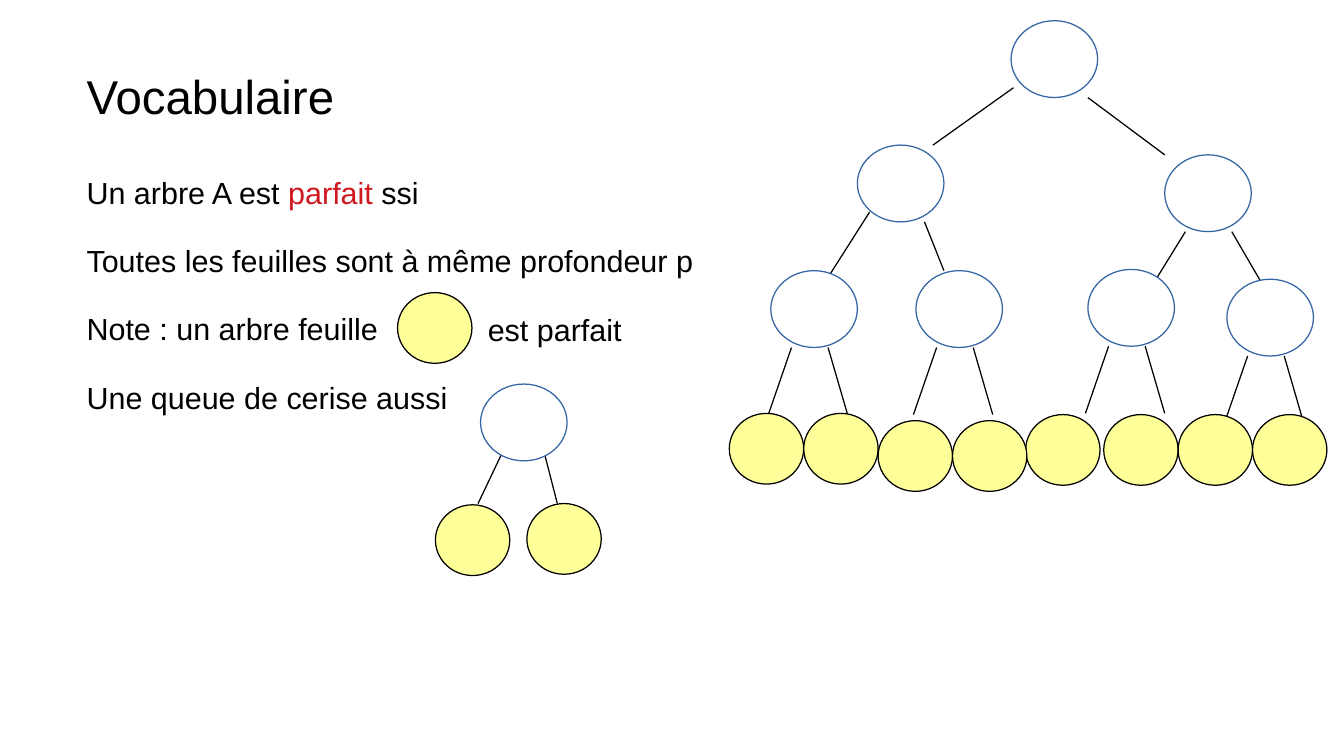
from dataclasses import dataclass

from lxml import etree
from pptx import Presentation
from pptx import util as u
from pptx.dml.color import RGBColor
from pptx.enum import shapes, text
from pptx.oxml import ns


@dataclass(frozen=True)
class Theme:
    font: str = "Arial"
    title_size: int = 28
    body_size: int = 18
    paragraph_gap: float = 18.6
    line_width: float = 0.75
    ink: str = "000000"
    accent: str = "CE181E"
    node_fill: str = "FFFFFF"
    node_line: str = "3465A4"
    leaf_fill: str = "FFFF99"


class TreePage:
    """Holds the theme and the current slide."""

    def __init__(self, deck, theme):
        self.theme = theme
        self.page = deck.slides.add_slide(deck.slide_layouts[1])

    def place(self, box, left, top, width, height):
        box.left, box.top = u.Inches(left), u.Inches(top)
        box.width, box.height = u.Inches(width), u.Inches(height)
        frame = box.text_frame
        frame.margin_left = frame.margin_right = 0
        frame.margin_top = frame.margin_bottom = 0
        frame.word_wrap = True
        frame.auto_size = text.MSO_AUTO_SIZE.NONE
        frame.vertical_anchor = text.MSO_ANCHOR.TOP
        return frame

    def style(self, span, size, color):
        span.font.name = self.theme.font
        span.font.size = u.Pt(size)
        span.font.color.rgb = RGBColor.from_string(color)

    def line(self, box, words, size, *area):
        """One line of text in a box of its own."""
        frame = self.place(box, *area)
        frame.text = words
        para = frame.paragraphs[0]
        para.alignment = text.PP_ALIGN.LEFT
        para.line_spacing = 1.0
        self.style(para.runs[0], size, self.theme.ink)

    def title(self, words, *area):
        self.line(self.page.shapes.title, words, self.theme.title_size, *area)

    def label(self, words, *area):
        box = self.page.shapes.add_textbox(0, 0, 0, 0)
        self.line(box, words, self.theme.body_size, *area)

    def body(self, lines, *area):
        """Each line is a list of (words, color) spans."""
        frame = self.place(self.page.placeholders[1], *area)
        for index, line in enumerate(lines):
            para = frame.paragraphs[0] if index == 0 else frame.add_paragraph()
            properties = para._p.get_or_add_pPr()
            properties.set("marL", "0")
            properties.set("indent", "0")
            etree.SubElement(properties, ns.qn("a:buNone"))
            para.line_spacing = 1.0
            para.space_before = u.Pt(self.theme.paragraph_gap if index else 0)
            for words, color in line:
                span = para.add_run()
                span.text = words
                self.style(span, self.theme.body_size, color)

    def circle(self, left, top, width, height, fill, line):
        shape = self.page.shapes.add_shape(
            shapes.MSO_SHAPE.OVAL, u.Inches(left), u.Inches(top),
            u.Inches(width), u.Inches(height))
        shape.shadow.inherit = False
        shape.fill.solid()
        shape.fill.fore_color.rgb = RGBColor.from_string(fill)
        shape.line.color.rgb = RGBColor.from_string(line)
        shape.line.width = u.Pt(self.theme.line_width)

    def node(self, left, top):
        self.circle(left, top, 0.71, 0.63, self.theme.node_fill, self.theme.node_line)

    def leaf(self, left, top):
        self.circle(left, top, 0.61, 0.58, self.theme.leaf_fill, self.theme.ink)

    def edge(self, *ends):
        connector = self.page.shapes.add_connector(
            shapes.MSO_CONNECTOR.STRAIGHT, *map(u.Inches, ends))
        connector.line.color.rgb = RGBColor.from_string(self.theme.ink)
        connector.line.width = u.Pt(self.theme.line_width)
        etree.SubElement(connector._element.spPr, ns.qn("a:effectLst"))

    def tree(self, edges, nodes, leaves):
        for ends in edges:
            self.edge(*ends)
        for spot in nodes:
            self.node(*spot)
        for spot in leaves:
            self.leaf(*spot)


def main():
    deck = Presentation()
    deck.slide_width, deck.slide_height = u.Inches(11.02), u.Inches(6.2)
    theme = Theme()
    page = TreePage(deck, theme)

    # Definition, with the single leaf between the two halves of the note
    page.title("Vocabulaire", 0.71, 0.55, 5, 0.6)
    page.body([
        [("Un arbre A est ", theme.ink), ("parfait", theme.accent), (" ssi", theme.ink)],
        [("Toutes les feuilles sont à même profondeur p", theme.ink)],
        [("Note : un arbre feuille", theme.ink)],
        [("Une queue de cerise aussi", theme.ink)],
    ], 0.71, 1.43, 5.2, 2.1)
    page.leaf(3.26, 2.4)
    page.label("est parfait", 4, 2.55, 1.5, 0.35)

    # Perfect tree: upper edges, then the same pair below each parent of leaves
    upper_nodes = [(8.29, 0.17), (7.03, 1.19), (9.55, 1.27)]
    leaf_parents = [(6.32, 2.22), (7.51, 2.22), (8.92, 2.21), (10.06, 2.29)]
    edges = [
        (8.31, 0.72, 7.65, 1.19), (8.92, 0.8, 9.55, 1.27),
        (7.13, 1.74, 6.78, 2.29), (7.58, 1.82, 7.74, 2.22),
        (9.72, 1.9, 9.38, 2.45), (10.1, 1.9, 10.42, 2.45),
    ]
    for left, top in leaf_parents:
        for start, end in ((0.17, -0.02), (0.47, 0.63)):
            edges.append((left + start, top + 0.63, left + end, top + 1.18))
    leaves = [(5.98, 3.39), (6.59, 3.39), (8.41, 3.4), (7.2, 3.45), (7.81, 3.45),
              (9.05, 3.4), (9.66, 3.4), (10.27, 3.4)]
    page.tree(edges, upper_nodes + leaf_parents, leaves)

    # Cherry: one node with two leaves
    page.tree([(4.11, 3.73, 3.92, 4.13), (4.47, 3.74, 4.57, 4.13)],
              [(3.94, 3.15)], [(3.57, 4.14), (4.32, 4.13)])

    deck.save("out.pptx")


if __name__ == "__main__":
    main()
